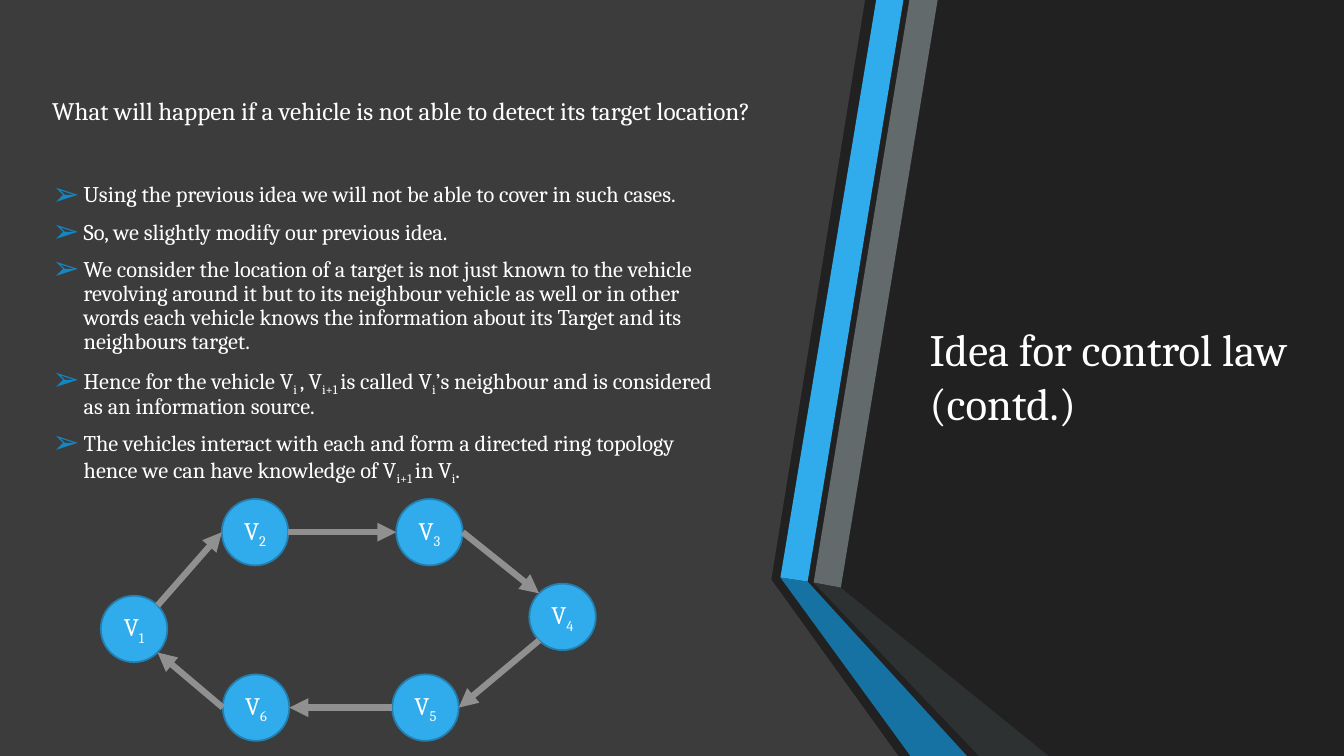
from dataclasses import dataclass
from math import cos, radians, sin

from lxml.etree import SubElement
from pptx import Presentation
from pptx.dml.color import RGBColor
from pptx.enum.shapes import MSO_CONNECTOR, MSO_SHAPE
from pptx.enum.text import MSO_ANCHOR, MSO_AUTO_SIZE, PP_ALIGN
from pptx.oxml.ns import qn
from pptx.util import Inches, Pt


@dataclass(frozen=True)
class Theme:
    font: str = "Cambria"
    text: str = "FFFFFF"
    back: str = "212121"
    panel: str = "404040"
    blue: str = "30ACEC"
    deep_blue: str = "1287C3"
    outline: str = "247FAF"
    grey: str = "636A6C"
    shade: str = "323536"
    arrow: str = "909090"
    title_size: int = 32
    lead_size: int = 18
    body_size: int = 16


THEME = Theme()

TITLE = ("Idea for control law", "(contd.)")
LEAD = "What will happen if a vehicle is not able to detect its target location?"
# Every second piece between bars is a subscript.
POINTS = (
    "Using the previous idea we will not be able to cover in such cases.",
    "So, we slightly modify our previous idea.",
    "We consider the location of a target is not just known to the vehicle "
    "revolving around it but to its neighbour vehicle as well or in other words "
    "each vehicle knows the information about its Target and its neighbours target.",
    "Hence for the vehicle V|i |, V|i+1 |is called V|i|’s neighbour and is "
    "considered as an information source.",
    "The vehicles interact with each and form a directed ring topology hence we "
    "can have knowledge of V|i+1 |in V|i|.",
)

# Outlines, relative to the left edge of the region
STREAKS = (
    (THEME.grey, 100, ((0.33, 5.78), (0.6, 5.83), (1.56, 0), (1.28, 0))),
    (THEME.blue, 100, ((1.22, 0), (0.95, 0), (0, 5.73), (0.27, 5.77))),
    (THEME.shade, 80, ((0.33, 5.78), (1.97, 7.5), (2.66, 7.5), (0.6, 5.83))),
    (THEME.deep_blue, 80, ((0, 5.73), (0.27, 5.77), (1.85, 7.5), (1.29, 7.5))),
)
PANEL = ((0, 0), (8.58, 0), (7.65, 5.75), (8.91, 7.5), (0, 7.5))

# Vehicle centres, relative to the ring box
DIAMETER = 0.66
VEHICLES = {1: (0.33, 1.29), 2: (1.53, 0.33), 3: (3.26, 0.33),
            4: (4.58, 1.17), 5: (3.22, 2.07), 6: (1.54, 2.07)}
# Source, leaving angle, target, arriving angle; degrees clockwise from the right
ARROWS = ((1, -45, 2, 180), (2, 0, 3, 180), (3, 0, 4, 225),
          (4, 135, 5, 0), (5, 180, 6, 0), (6, 180, 1, 45))


def rgb(color):
    return RGBColor.from_string(color)


def place(sp, left, top, width, height):
    sp.left, sp.top = Inches(left), Inches(top)
    sp.width, sp.height = Inches(width), Inches(height)


def add_runs(p, text, size):
    """Add text in which every second piece between bars is a subscript."""
    for i, piece in enumerate(text.split("|")):
        r = p.add_run()
        r.text = piece
        r.font.name = THEME.font
        r.font.size = Pt(size)
        r.font.color.rgb = rgb(THEME.text)
        if i % 2:
            r.font._element.set("baseline", "-25000")


def add_polygon(s, left, points, color, opacity):
    corners = [(Inches(left + x), Inches(y)) for x, y in points]
    builder = s.shapes.build_freeform(*corners[0])
    builder.add_line_segments(corners[1:], close=True)
    sp = builder.convert_to_shape()
    sp.shadow.inherit = False
    sp.line.fill.background()
    sp.fill.solid()
    sp.fill.fore_color.rgb = rgb(color)
    if opacity < 100:
        clr = sp.element.spPr.find(qn("a:solidFill")).find(qn("a:srgbClr"))
        SubElement(clr, qn("a:alpha"), val=str(opacity * 1000))


def add_backdrop(s, streaks_left, panel_left):
    s.background.fill.solid()
    s.background.fill.fore_color.rgb = rgb(THEME.back)
    for color, opacity, points in STREAKS:
        add_polygon(s, streaks_left, points, color, opacity)
    add_polygon(s, panel_left, PANEL, THEME.panel, 90)


def fill_title(s, left, top, width, height):
    sp = s.shapes.title
    s.shapes.element.append(sp.element)
    place(sp, left, top, width, height)
    tf = sp.text_frame
    tf.auto_size = MSO_AUTO_SIZE.NONE
    tf.vertical_anchor = MSO_ANCHOR.MIDDLE
    p = tf.paragraphs[0]
    p.alignment = PP_ALIGN.LEFT
    for i, line in enumerate(TITLE):
        if i:
            p.add_line_break()
        add_runs(p, line, THEME.title_size)


def add_lead(s, left, top, width, height):
    sp = s.shapes.add_textbox(*map(Inches, (left, top, width, height)))
    tf = sp.text_frame
    tf.word_wrap = True
    tf.auto_size = MSO_AUTO_SIZE.SHAPE_TO_FIT_TEXT
    p = tf.paragraphs[0]
    p.line_spacing = 0.9
    add_runs(p, LEAD, THEME.lead_size)


def add_bullet(p):
    pPr = p._p.get_or_add_pPr()
    pPr.set("marL", str(Inches(0.31)))
    pPr.set("indent", str(-Inches(0.31)))
    SubElement(SubElement(pPr, qn("a:buClr")), qn("a:srgbClr"), val=THEME.deep_blue)
    SubElement(pPr, qn("a:buSzPct"), val="145000")
    SubElement(pPr, qn("a:buChar"), char="➢")


def fill_points(s, left, top, width, height):
    sp = s.placeholders[1]
    s.shapes.element.append(sp.element)  # in front of the panel
    place(sp, left, top, width, height)
    tf = sp.text_frame
    tf.auto_size = MSO_AUTO_SIZE.NONE
    tf.vertical_anchor = MSO_ANCHOR.MIDDLE
    for i, text in enumerate(POINTS):
        p = tf.add_paragraph() if i else tf.paragraphs[0]
        p.line_spacing = 0.9
        p.space_before = Pt(3.2 if i else 0)
        p.space_after = Pt(6)
        add_bullet(p)
        add_runs(p, text, THEME.body_size)


def add_vehicle(s, number, x, y):
    corner = Inches(x - DIAMETER / 2), Inches(y - DIAMETER / 2)
    sp = s.shapes.add_shape(MSO_SHAPE.FLOWCHART_CONNECTOR, *corner,
                            Inches(DIAMETER), Inches(DIAMETER))
    sp.shadow.inherit = False
    sp.fill.solid()
    sp.fill.fore_color.rgb = rgb(THEME.blue)
    sp.line.color.rgb = rgb(THEME.outline)
    sp.line.width = Pt(1.25)
    tf = sp.text_frame
    tf.word_wrap = False
    tf.vertical_anchor = MSO_ANCHOR.MIDDLE
    p = tf.paragraphs[0]
    p.alignment = PP_ALIGN.CENTER
    add_runs(p, f"V|{number}", THEME.lead_size)


def add_arrow(s, start, end):
    cxn = s.shapes.add_connector(MSO_CONNECTOR.STRAIGHT, *map(Inches, start + end))
    cxn.line.color.rgb = rgb(THEME.arrow)
    cxn.line.width = Pt(4.5)
    SubElement(cxn.line._get_or_add_ln(), qn("a:tailEnd"), type="triangle")
    SubElement(cxn.element.spPr, qn("a:effectLst"))


def add_ring(s, left, top):
    def rim(number, angle):
        x, y = VEHICLES[number]
        return (left + x + DIAMETER / 2 * cos(radians(angle)),
                top + y + DIAMETER / 2 * sin(radians(angle)))

    for number, (x, y) in VEHICLES.items():
        add_vehicle(s, number, left + x, top + y)
    for source, leaving, target, arriving in ARROWS:
        add_arrow(s, rim(source, leaving), rim(target, arriving))


def main():
    prs = Presentation()
    prs.slide_width, prs.slide_height = Inches(13.33), Inches(7.5)
    s = prs.slides.add_slide(prs.slide_layouts[1])
    add_backdrop(s, 7.74, 0)
    fill_title(s, 9.12, 1.12, 3.99, 5.21)
    fill_points(s, 0.42, 1.75, 6.76, 3.12)
    add_lead(s, 0.42, 0.93, 7.44, 0.37)
    add_ring(s, 1, 4.95)
    prs.save("out.pptx")


if __name__ == "__main__":
    main()
